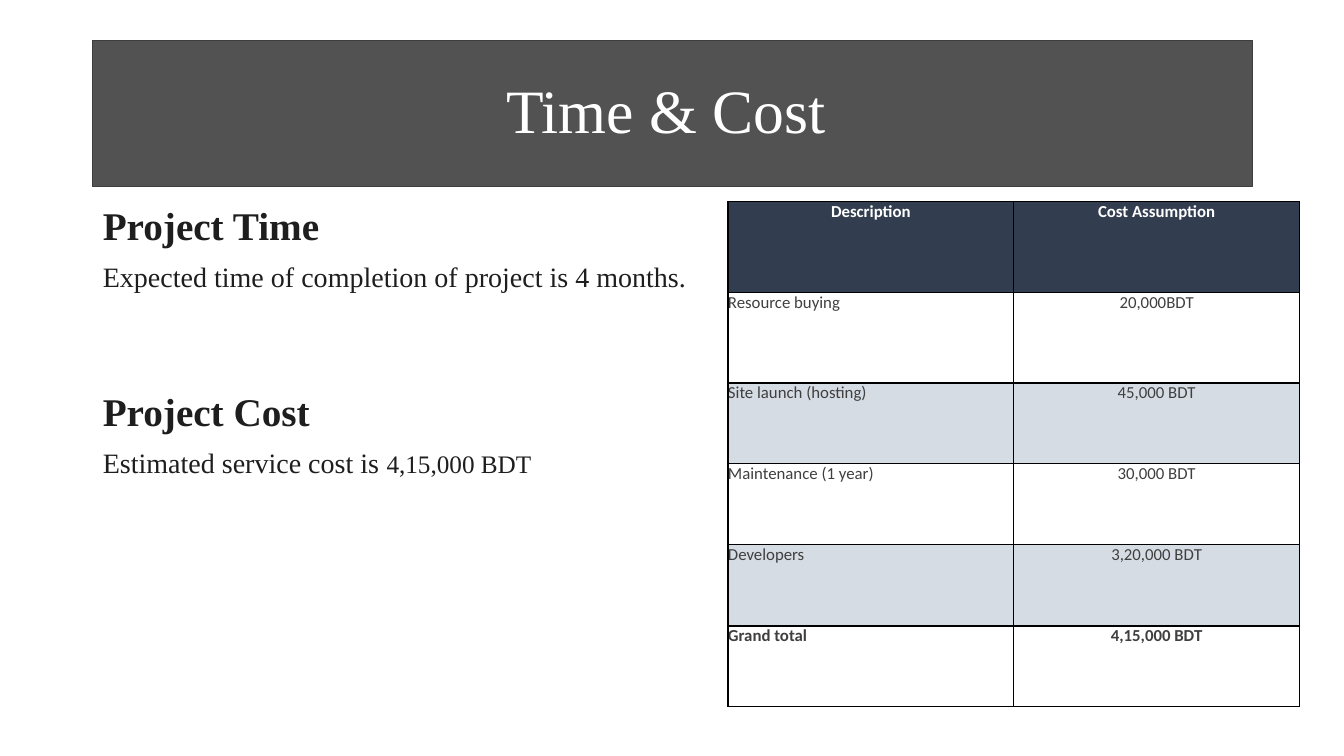
from pptx import Presentation
from pptx.dml.color import RGBColor
from pptx.enum import text as t
from pptx.oxml import parse_xml
from pptx.oxml import ns
from pptx.util import Inches, Pt

WHITE = RGBColor(0xFF, 0xFF, 0xFF)
BANNER = RGBColor(0x52, 0x52, 0x52)
BANNER_EDGE = RGBColor(0x3D, 0x3D, 0x3D)
INK = RGBColor(0x1E, 0x1E, 0x1E)
NAVY = RGBColor(0x32, 0x3E, 0x4F)
BAND = RGBColor(0xD6, 0xDC, 0xE4)
CELL_INK = RGBColor(0x3F, 0x3F, 0x3F)

SERIF, SANS = "Times New Roman", "Calibri"
LEFT, ALIGN_CENTER = t.PP_ALIGN.LEFT, t.PP_ALIGN.CENTER

COSTS = [
    ("Description", "Cost Assumption"),
    ("Resource buying", "20,000BDT"),
    ("Site launch (hosting)", "45,000 BDT"),
    ("Maintenance (1 year)", "30,000 BDT"),
    ("Developers", "3,20,000 BDT"),
    ("Grand total", "4,15,000 BDT"),
]
ROW_FILLS = [NAVY, None, BAND, None, BAND, WHITE]
ROW_HEIGHTS = [0.9, 0.9, 0.8, 0.8, 0.81, 0.8]


def add_text(paragraph, wording, *, size, font=SERIF, color=INK, bold=False):
    run = paragraph.add_run()
    run.text = wording
    run.font.name = font
    run.font.size = Pt(size)
    run.font.color.rgb = color
    run.font.bold = bold


def place(item, left, top, width, height):
    item.left, item.top = Inches(left), Inches(top)
    item.width, item.height = Inches(width), Inches(height)


def draw_borders(cell):
    properties = cell._tc.get_or_add_tcPr()
    for side in "LRTB":
        properties.append(parse_xml(
            f'<a:ln{side} {ns.nsdecls("a")} w="12700"><a:solidFill>'
            f'<a:srgbClr val="000000"/></a:solidFill></a:ln{side}>'))


class CostSlide:
    """Holds the slide and the shared paragraph style."""

    def __init__(self, deck):
        self.line_spacing = 0.9
        self.space_before = 10
        self.slide = deck.slides.add_slide(deck.slide_layouts[1])

    def title(self, wording):
        banner = self.slide.shapes.title
        place(banner, 0.92, 0.4, 11.5, 1.45)
        banner.fill.solid()
        banner.fill.fore_color.rgb = BANNER
        banner.line.color.rgb = BANNER_EDGE
        banner.line.width = Pt(1)
        frame = banner.text_frame
        frame.auto_size = t.MSO_AUTO_SIZE.NONE
        frame.vertical_anchor = t.MSO_ANCHOR.MIDDLE
        frame.margin_left = Inches(4.1)
        heading = frame.paragraphs[0]
        heading.alignment = LEFT
        heading.line_spacing = self.line_spacing
        add_text(heading, wording, size=44, color=WHITE)

    def body(self, sections, section_gap):
        """Fill the body with (heading, [(wording, size), ...]) sections."""
        body = self.slide.placeholders[1]
        place(body, 0.92, 2, 7.12, 4.76)
        self.frame = body.text_frame
        self.frame.auto_size = t.MSO_AUTO_SIZE.NONE
        for index, (heading, statement) in enumerate(sections):
            if index:
                line = self.body_line(self.frame.add_paragraph(), section_gap)
            else:
                line = self.body_line(self.frame.paragraphs[0], 0)
            add_text(line, heading, size=28, bold=True)
            line = self.body_line(self.frame.add_paragraph(), self.space_before)
            for wording, size in statement:
                add_text(line, wording, size=size)

    def body_line(self, paragraph, space_before):
        properties = paragraph._p.get_or_add_pPr()
        properties.set("marL", "0")
        properties.set("indent", "0")
        properties.append(parse_xml(f'<a:buNone {ns.nsdecls("a")}/>'))
        paragraph.alignment = LEFT
        paragraph.line_spacing = self.line_spacing
        paragraph.space_before = Pt(space_before)
        return paragraph

    def cost_table(self):
        table = self.slide.shapes.add_table(
            len(COSTS), 2, Inches(7.22), Inches(2),
            Inches(5.67), Inches(sum(ROW_HEIGHTS))).table
        for row, height in zip(table.rows, ROW_HEIGHTS):
            row.height = Inches(height)
        last = len(COSTS) - 1
        for r, entries in enumerate(COSTS):
            for c, wording in enumerate(entries):
                cell = table.cell(r, c)
                cell.margin_left = cell.margin_right = 0
                cell.margin_top = cell.margin_bottom = 0
                draw_borders(cell)
                if ROW_FILLS[r] is None:
                    cell.fill.background()
                else:
                    cell.fill.solid()
                    cell.fill.fore_color.rgb = ROW_FILLS[r]
                entry = cell.text_frame.paragraphs[0]
                entry.alignment = ALIGN_CENTER if r == 0 or c == 1 else LEFT
                add_text(entry, wording, size=12, font=SANS,
                         color=CELL_INK if r else WHITE, bold=r in (0, last))


def main():
    deck = Presentation()
    deck.slide_width, deck.slide_height = Inches(13.33), Inches(7.5)
    page = CostSlide(deck)
    page.title("Time & Cost")
    page.body([
        ("Project Time",
         [("Expected time of completion of project is 4 months.", 20)]),
        ("Project Cost",
         [("Estimated service cost is ", 20), ("4,15,000 BDT", 18)]),
    ], section_gap=71)
    page.cost_table()
    deck.save("out.pptx")


if __name__ == "__main__":
    main()
